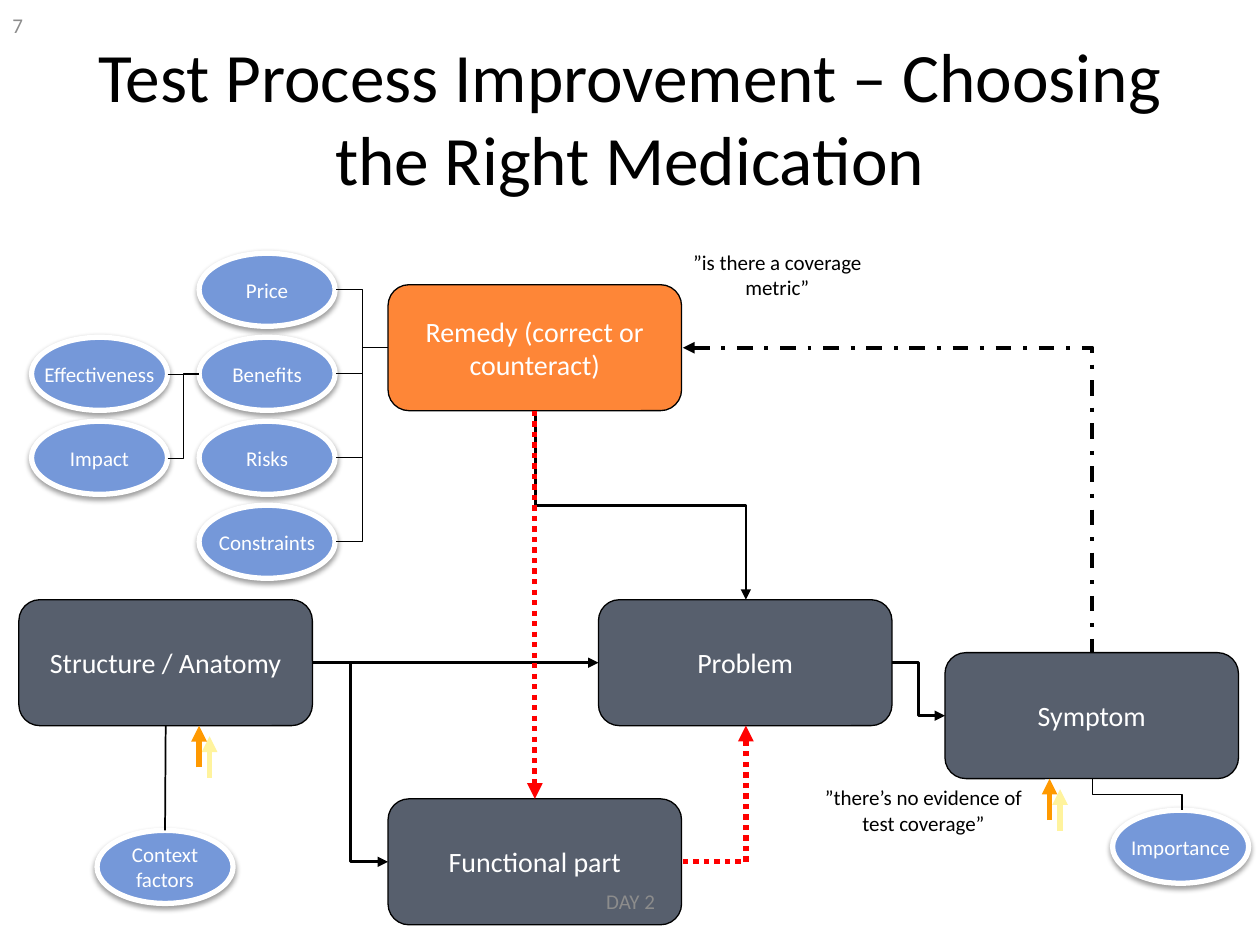
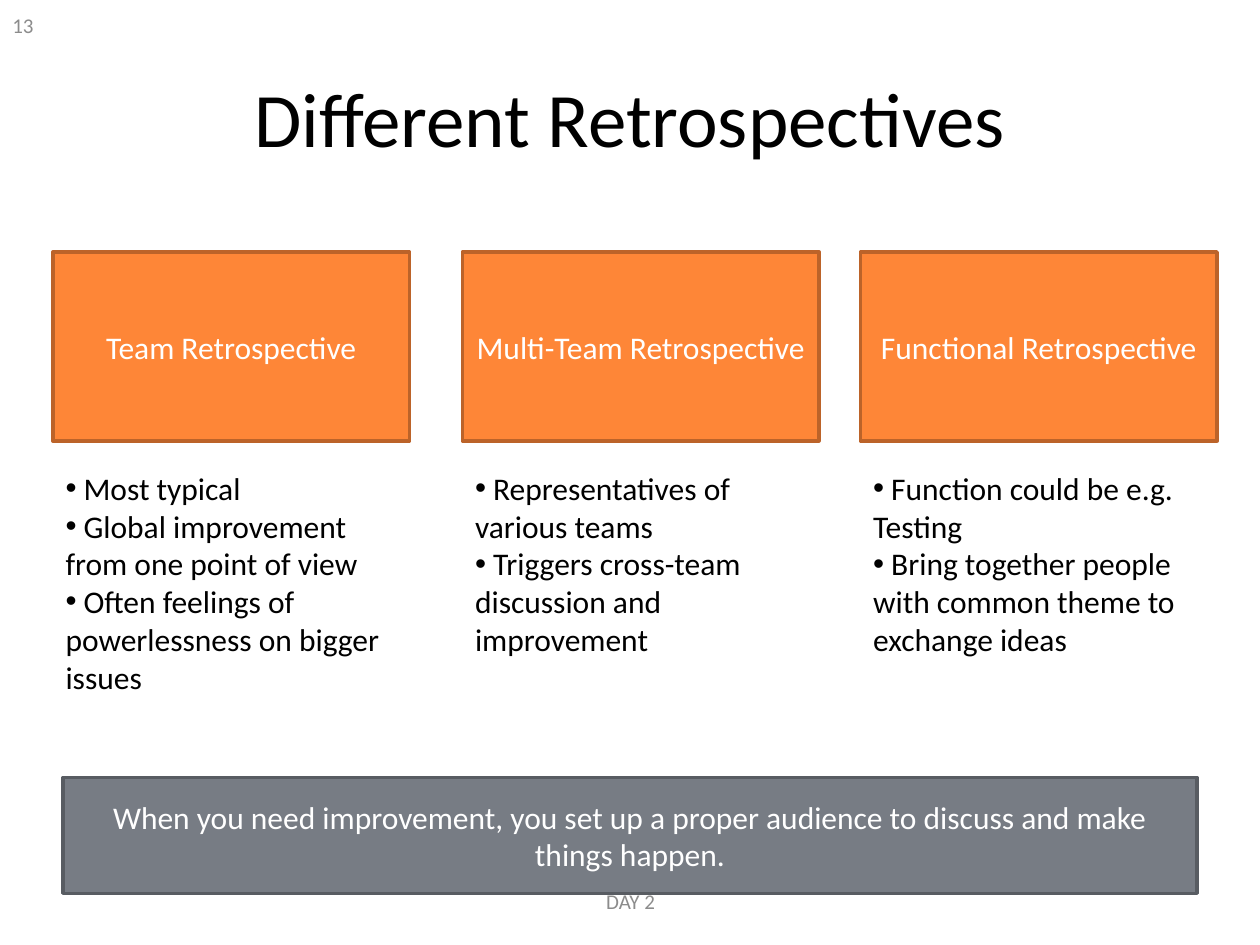
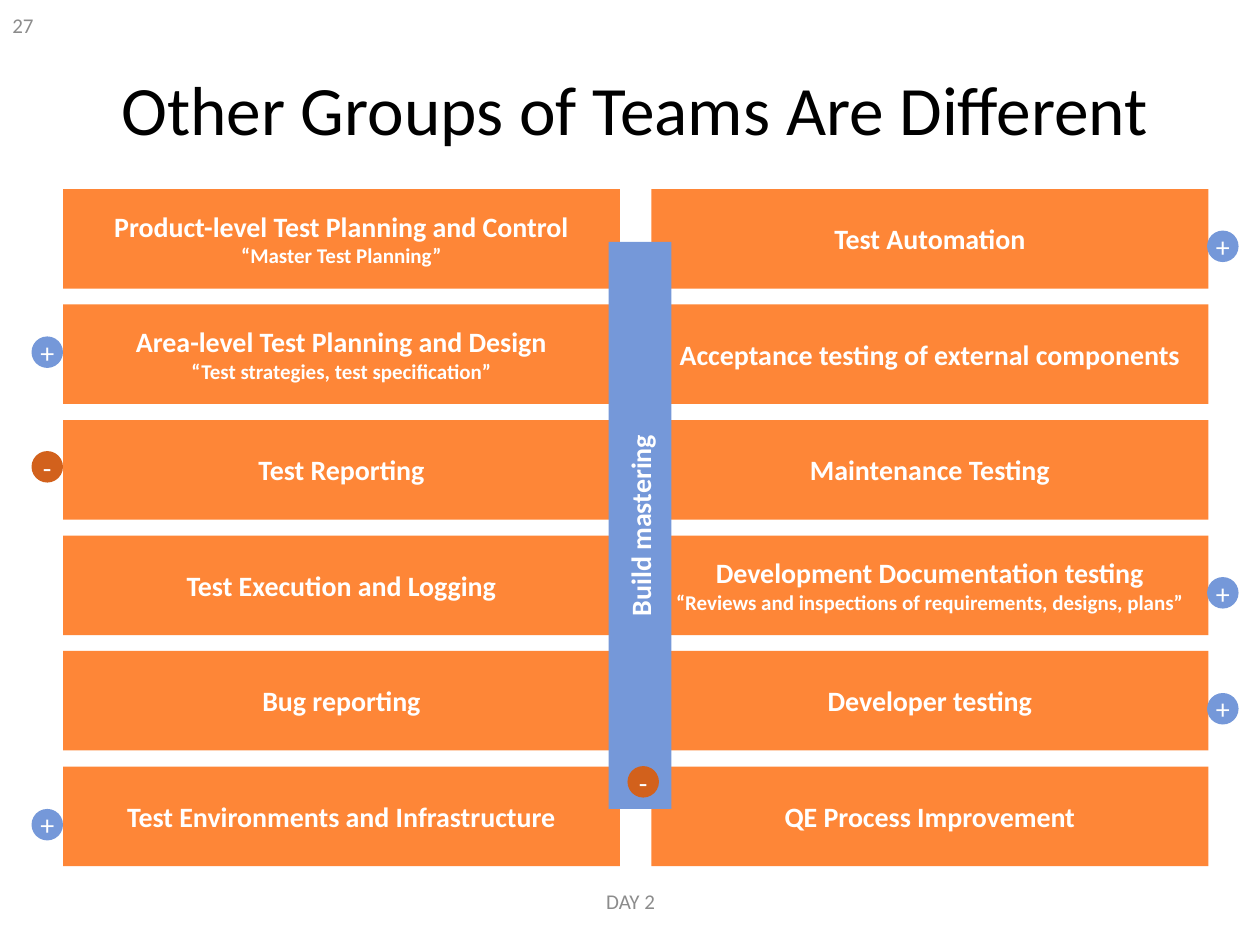
from lxml.etree import SubElement
from pptx import Presentation
from pptx.dml.color import RGBColor
from pptx.enum.dml import MSO_LINE
from pptx.enum.shapes import MSO_CONNECTOR, MSO_SHAPE
from pptx.enum.text import MSO_ANCHOR, MSO_AUTO_SIZE, PP_ALIGN
from pptx.oxml.ns import qn
from pptx.util import Inches, Pt

# Shared look
BLACK, WHITE, GREY = "000000", "FFFFFF", "8C8C8C"
ORANGE, BLUE, SLATE, RUST = "FE8637", "7598D9", "575F6D", "D2611C"
FONT = "Calibri"


def write(shape, text, size=12, color=BLACK, bold=False, align=PP_ALIGN.CENTER,
          anchor=MSO_ANCHOR.MIDDLE, wrap=True, bullet=None):
    frame = shape.text_frame
    frame_format = {"word_wrap": wrap, "auto_size": MSO_AUTO_SIZE.NONE, "vertical_anchor": anchor}
    for name, value in frame_format.items():
        setattr(frame, name, value)
    for index, line in enumerate(text.split("\n")):
        paragraph = frame.add_paragraph() if index else frame.paragraphs[0]
        paragraph_format = {"alignment": align, "space_before": Pt(0), "line_spacing": 1.0}
        for name, value in paragraph_format.items():
            setattr(paragraph, name, value)
        if bullet:
            properties = paragraph._p.get_or_add_pPr()
            properties.set("marL", "0")
            properties.set("indent", "0")
            SubElement(properties, qn("a:buFont"), typeface="Arial")
            SubElement(properties, qn("a:buChar"), char=bullet)
        run = paragraph.add_run()
        run.text = line
        for name, value in {"name": FONT, "size": Pt(size), "bold": bold}.items():
            setattr(run.font, name, value)
        run.font.color.rgb = RGBColor.from_string(color)


def add_box(slide, kind, place, text, fill, line=None, line_width=0.75, **text_format):
    shape = slide.shapes.add_shape(kind, *map(Inches, place))
    shape.shadow.inherit = False
    shape.fill.solid()
    shape.fill.fore_color.rgb = RGBColor.from_string(fill)
    if line:
        shape.line.color.rgb = RGBColor.from_string(line)
        shape.line.width = Pt(line_width)
    else:
        shape.line.fill.background()
    write(shape, text, color=WHITE, **text_format)
    return shape


presentation = Presentation()
presentation.slide_width = Inches(10)
presentation.slide_height = Inches(7.5)
title_only = presentation.slide_layouts[5]
comparison = presentation.slide_layouts[4]

# Slides with their titles
slides = []
for layout, title, size, place in [
    (title_only, "Test Process Improvement – Choosing the Right Medication", 39.6, (0.5, 0.3, 9, 1.25)),
    (comparison, "Different Retrospectives", 44, (0.5, 0.3, 9, 1.25)),
    (title_only, "Other Groups of Teams Are Different", 39.6, (0.5, 0.23, 9.08, 1.25)),
]:
    slide = presentation.slides.add_slide(layout)
    shape = slide.shapes.title
    shape.left, shape.top, shape.width, shape.height = map(Inches, place)
    write(shape, title, size)
    slides.append(slide)
medication, retrospectives, teams = slides

# Medication: boxes
nodes = {}
for text, left, top, fill in [
    ("Remedy (correct or counteract)", 3.08, 2.26, ORANGE),
    ("Symptom", 7.5, 5.18, SLATE),
    ("Structure / Anatomy", 0.15, 4.76, SLATE),
    ("Problem", 4.75, 4.76, SLATE),
    ("Functional part", 3.08, 6.34, SLATE),
]:
    nodes[text.split()[0]] = add_box(medication, MSO_SHAPE.ROUNDED_RECTANGLE,
                                     (left, top, 2.33, 1), text, fill, BLACK, size=16)

# Medication: ovals in two columns, and two single ones
oval_tops = [2.01 + row * 2 / 3 for row in range(4)]
ovals = [(text, 1.58, top) for text, top in zip(["Price", "Benefits", "Risks", "Constraints"], oval_tops)]
ovals += [("Effectiveness", 0.25, oval_tops[1]), ("Impact", 0.25, oval_tops[2]),
          ("Context\nfactors", 0.77, 6.59), ("Importance", 8.83, 6.43)]
shadows = []
for text, left, top in ovals:
    oval = add_box(medication, MSO_SHAPE.OVAL, (left, top, 1.08, 0.58), text, BLUE, WHITE, 3, wrap=False)
    shadows.append((oval, BLACK, 38, 3.1, 1.6, 90))

# Medication: lines as colour, width, dash, arrowhead
styles = {
    "thin": (BLACK, 0.75, None, None),
    "plain": (BLACK, 1, None, None),
    "flow": (BLACK, 1.5, None, "a:tailEnd"),
    "feedback": (BLACK, 2.25, MSO_LINE.DASH_DOT, "a:headEnd"),
    "shortcut": ("FF0000", 3, MSO_LINE.ROUND_DOT, "a:tailEnd"),
    "marker": ("FF9900", 3, None, "a:tailEnd"),
}
# Routes: straight, elbow (leaves sideways), drop (leaves downwards), corner (one bend)
lines = [
    ((2.48, 5.26), (4.75, 5.26), "straight", "flow", ("Structure", 3), ("Problem", 1)),
    ((7.08, 5.26), (7.5, 5.68), "elbow", "flow", None, None),
    ((4.25, 3.26), (5.92, 4.76), "drop", "flow", None, None),
    ((2.48, 5.26), (3.08, 6.84), "elbow", "flow", None, None),
    ((5.42, 2.76), (8.67, 5.18), "corner", "feedback", None, None),
    ((4.25, 3.26), (4.25, 6.34), "straight", "shortcut", ("Remedy", 2), ("Functional", 0)),
    ((5.42, 6.84), (5.92, 5.76), "corner", "shortcut", None, None),
    ((1.33, 2.97), (1.58, 2.97), "straight", "thin", None, None),
    ((1.33, 3.64), (1.58, 2.97), "elbow", "thin", None, None),
    ((8.67, 6.18), (9.38, 6.43), "drop", "thin", None, None),
    ((1.31, 5.76), (1.31, 6.59), "straight", "plain", ("Structure", 2), None),
    ((1.58, 6.09), (1.58, 5.76), "straight", "marker", None, None),
    ((8.33, 6.51), (8.33, 6.18), "straight", "marker", None, None),
]
lines += [((2.67, top + 0.29), (3.08, 2.76), "elbow", "thin", None, None) for top in oval_tops]
for (x1, y1), (x2, y2), route, style, source, target in lines:
    if route == "drop":
        # The frame is turned by 270 degrees about its centre
        center_x, center_y = (x1 + x2) / 2, (y1 + y2) / 2
        half_width, half_height = (y2 - y1) / 2, (x2 - x1) / 2
        x1, x2 = center_x + half_width, center_x - half_width
        y1, y2 = center_y - half_height, center_y + half_height
    kind = MSO_CONNECTOR.STRAIGHT if route == "straight" else MSO_CONNECTOR.ELBOW
    connector = medication.shapes.add_connector(kind, *map(Inches, (x1, y1, x2, y2)))
    properties = connector._element.spPr
    if route == "drop":
        properties.find(qn("a:xfrm")).set("rot", "16200000")
    if route == "corner":
        properties.find(qn("a:prstGeom")).set("prst", "bentConnector2")
    if source:
        connector.begin_connect(nodes[source[0]], source[1])
    if target:
        connector.end_connect(nodes[target[0]], target[1])
    color, width, dash, arrow = styles[style]
    connector.line.color.rgb = RGBColor.from_string(color)
    connector.line.width = Pt(width)
    if dash:
        connector.line.dash_style = dash
    if arrow:
        SubElement(properties.find(qn("a:ln")), qn(arrow), type="triangle")
    SubElement(properties, qn("a:effectLst"))
    if style == "marker":
        shadows.append((connector, "FFF39D", 100, 0, 8.5, 45))

# Medication: shadows
for shape, color, opacity, blur, distance, angle in shadows:
    effects = shape._element.spPr.find(qn("a:effectLst"))
    shadow = SubElement(effects, qn("a:outerShdw"), blurRad=str(Pt(blur)), dist=str(Pt(distance)),
                        dir=str(angle * 60000), algn="ctr", rotWithShape="0")
    shadow_color = SubElement(shadow, qn("a:srgbClr"), val=color)
    SubElement(shadow_color, qn("a:alpha"), val=str(opacity * 1000))

# Medication: quotes
for text, left, top in [("”there’s no evidence of test coverage”", 6.33, 6.18),
                        ("”is there a coverage metric”", 5.17, 1.93)]:
    quote = medication.shapes.add_textbox(*map(Inches, (left, top, 2, 0.5)))
    write(quote, text, anchor=MSO_ANCHOR.TOP)

# Retrospectives: three columns of a heading box and a list
bodies = [shape for shape in retrospectives.placeholders if shape.placeholder_format.idx in (1, 2, 3, 4)]
columns = [
    (0.42, 2.22, "Team Retrospective",
     " Most typical\n Global improvement from one point of view\n"
     " Often feelings of powerlessness on bigger issues"),
    (3.67, 1.62, "Multi-Team Retrospective",
     " Representatives of various teams\n Triggers cross-team discussion and improvement"),
    (6.83, 1.92, "Functional Retrospective",
     " Function could be e.g. Testing\n Bring together people with common theme to exchange ideas"),
]
for body, (left, height, heading, points) in zip(bodies, columns):
    add_box(retrospectives, MSO_SHAPE.RECTANGLE, (left, 2, 2.83, 1.5), heading, ORANGE, "BC6329", 2, size=18)
    body.left, body.top, body.width, body.height = map(Inches, (left, 3.67, 2.92, height))
    write(body, points, 18, align=PP_ALIGN.LEFT, anchor=MSO_ANCHOR.TOP, bullet="•")
unused = bodies[3]._element
unused.getparent().remove(unused)
add_box(retrospectives, MSO_SHAPE.RECTANGLE, (0.5, 6.17, 9, 0.92),
        "When you need improvement, you set up a proper audience to discuss and make things happen.",
        "777C84", "585C62", 2, size=18)

# Teams: two columns of activities
activities = {
    0.5: ["Product-level Test Planning and Control\n“Master Test Planning”",
          "Area-level Test Planning and Design\n“Test strategies, test specification”",
          "Test Reporting", "Test Execution and Logging", "Bug reporting",
          "Test Environments and Infrastructure"],
    5.17: ["Test Automation", "Acceptance testing of external components", "Maintenance Testing",
           "Development Documentation testing\n“Reviews and inspections of requirements, designs, plans”",
           "Developer testing", "QE Process Improvement"],
}
for left, texts in activities.items():
    for row, text in enumerate(texts):
        box = add_box(teams, MSO_SHAPE.RECTANGLE, (left, 1.5 + row * 11 / 12, 4.42, 0.79),
                      text, ORANGE, size=16, bold=True)
        for paragraph in box.text_frame.paragraphs[1:]:
            paragraph.runs[0].font.size = Pt(12)

# Teams: upright bar and plus and minus signs
bar = add_box(teams, MSO_SHAPE.RECTANGLE, (2.83, 3.92, 4.5, 0.5), "Build mastering", BLUE,
              size=16, bold=True, wrap=False)
bar.rotation = 270
for sign, left, top in [("+", 0.25, 2.67), ("-", 0.25, 3.58), ("+", 0.25, 6.42), ("-", 4.98, 6.08),
                        ("+", 9.58, 1.83), ("+", 9.58, 4.58), ("+", 9.58, 5.5)]:
    add_box(teams, MSO_SHAPE.OVAL, (left, top, 0.25, 0.25), sign, BLUE if sign == "+" else RUST,
            size=16, wrap=False)

# Slide numbers and footers
for slide, number in zip(slides, ["7", "13", "27"]):
    for text, place, align in [(number, (0, 0, 2.33, 0.4), PP_ALIGN.LEFT),
                               ("DAY 2", (3.42, 6.95, 3.17, 0.4), PP_ALIGN.CENTER)]:
        write(slide.shapes.add_textbox(*map(Inches, place)), text, color=GREY, align=align)

presentation.save("out.pptx")
